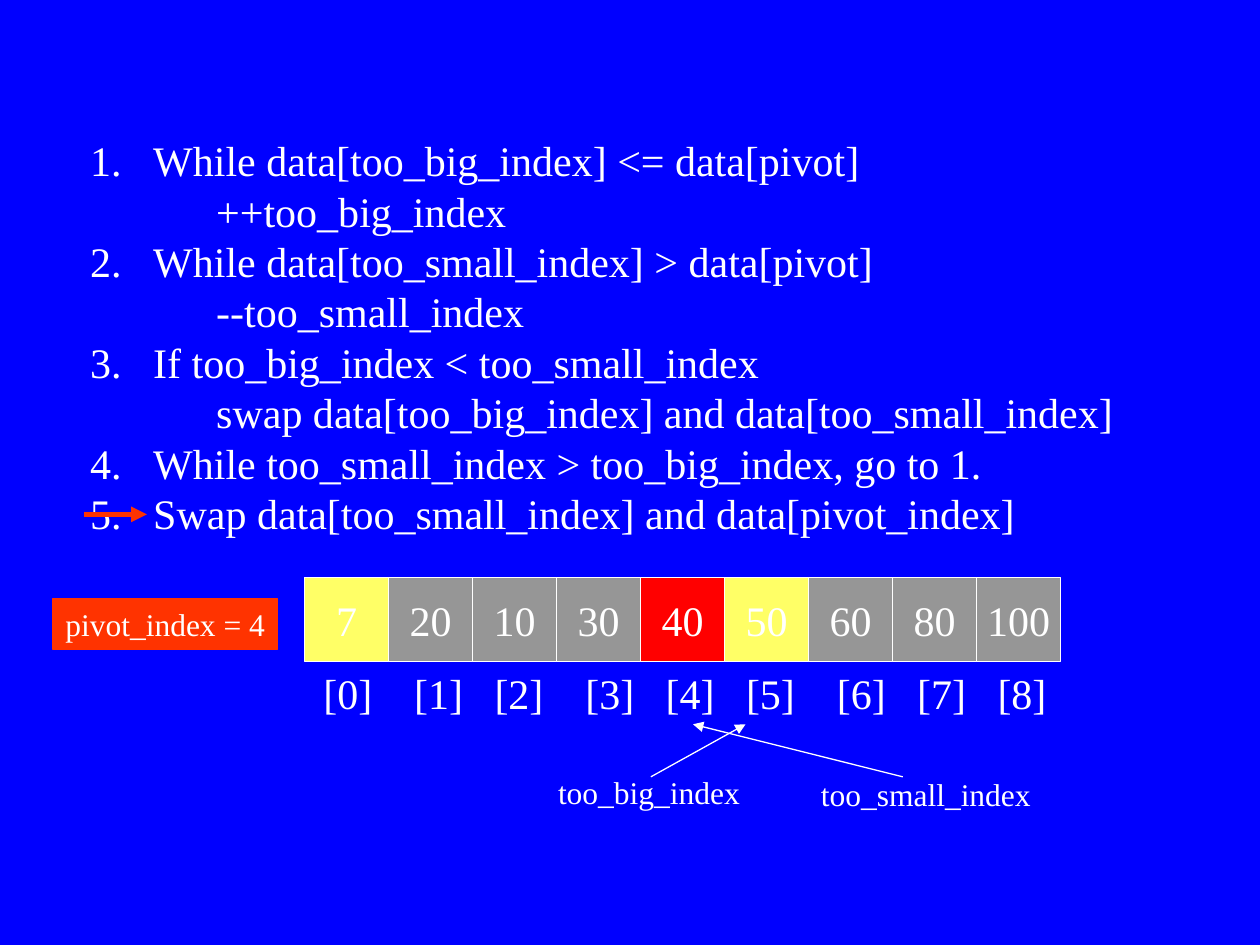
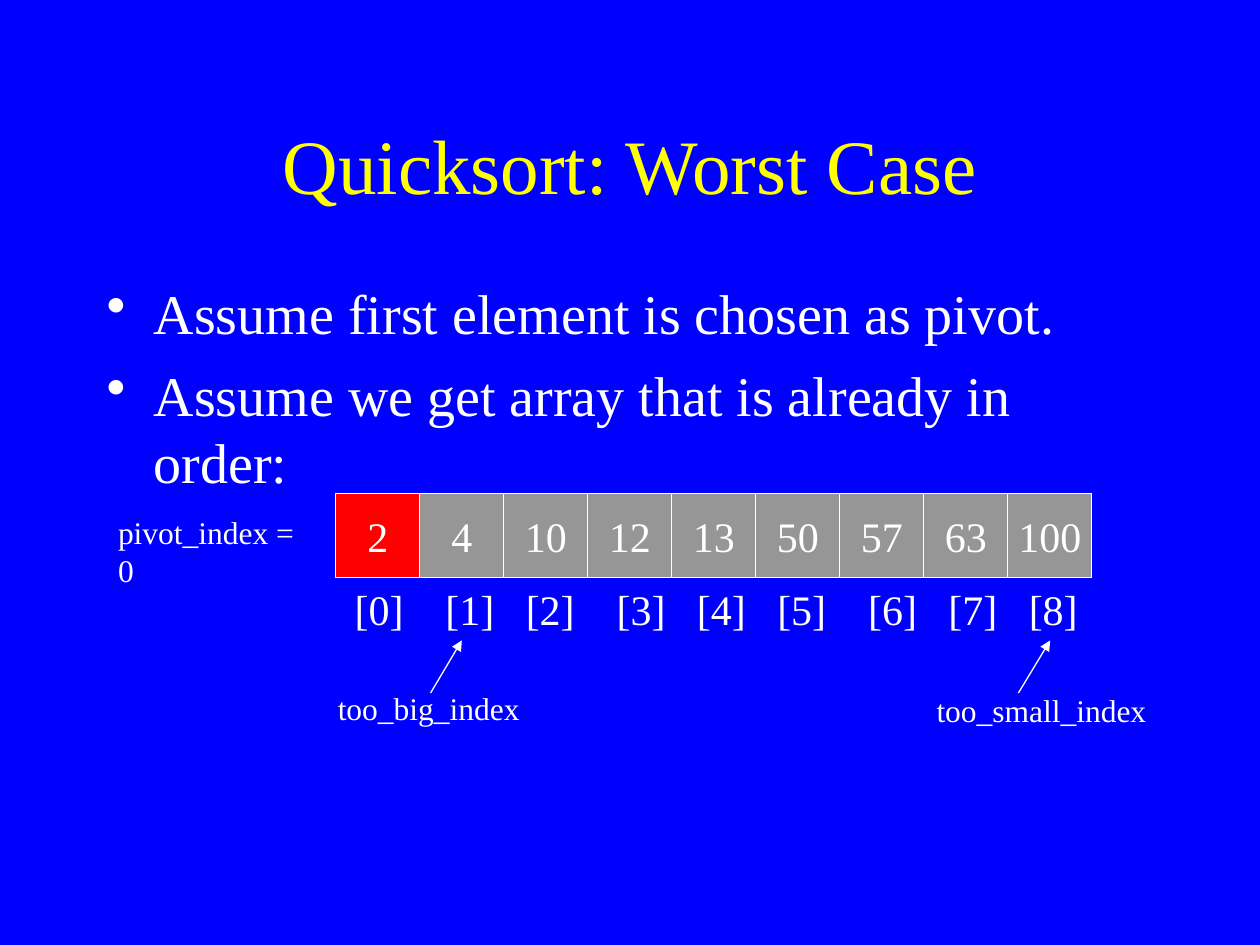
from itertools import accumulate

from lxml import etree
from pptx import Presentation
from pptx import util as u
from pptx.dml.color import RGBColor
from pptx.enum import shapes, text
from pptx.oxml.ns import qn

COLORS = {
    "background": "0000FF",
    "title": "FFFF00",
    "text": "FFFFFF",
    "cell": "969696",
    "pivot": "FF0000",
    "swap": "FFFF66",
    "step": "FF3300",
}
FONT = "Times New Roman"
TITLE_ONLY, BLANK = 5, 6
CELL = 15.24 / 9
# Distances between neighbouring index labels, in cm
INDEX_STEPS = [1.83, 1.62, 1.83, 1.62, 1.62, 1.83, 1.62, 1.62]

ALGORITHM = [
    ("While data[too_big_index] <= data[pivot]", "++too_big_index"),
    ("While data[too_small_index] > data[pivot]", "--too_small_index"),
    ("If too_big_index < too_small_index",
     "swap data[too_big_index] and data[too_small_index]"),
    ("While too_small_index > too_big_index, go to 1.", None),
    ("Swap data[too_small_index] and data[pivot_index]", None),
]
ASSUMPTIONS = [
    "Assume first element is chosen as pivot.",
    "Assume we get array that is already in order:",
]


def rgb(name):
    return RGBColor.from_string(COLORS[name])


def add_child(parent, tag, **attributes):
    child = etree.SubElement(parent, qn(tag))
    for key, value in attributes.items():
        child.set(key, str(value))
    return child


def add_run(paragraph, wording, size, color="text"):
    run = paragraph.add_run()
    run.text = wording
    run.font.name = FONT
    run.font.size = u.Pt(size)
    run.font.color.rgb = rgb(color)


def add_text_box(slide, left, top, width, height, wrap=True):
    frame = slide.shapes.add_textbox(
        u.Cm(left), u.Cm(top), u.Cm(width), u.Cm(height)).text_frame
    frame.word_wrap = wrap
    return frame


def add_label(slide, wording, left, top, width, wrap=True):
    frame = add_text_box(slide, left, top, width, 1.02, wrap)
    add_run(frame.paragraphs[0], wording, 18)


def add_box(slide, wording, left, top, width, height, size, fill, line,
            align=text.PP_ALIGN.CENTER):
    box = slide.shapes.add_shape(
        shapes.MSO_SHAPE.RECTANGLE,
        u.Cm(left), u.Cm(top), u.Cm(width), u.Cm(height))
    box.shadow.inherit = False
    box.fill.solid()
    box.fill.fore_color.rgb = rgb(fill)
    box.line.color.rgb = rgb(line)
    box.line.width = u.Pt(0.75)
    frame = box.text_frame
    frame.word_wrap = False
    frame.vertical_anchor = text.MSO_ANCHOR.MIDDLE
    frame.paragraphs[0].alignment = align
    add_run(frame.paragraphs[0], wording, size)


def add_arrow(slide, start, end, color="text", width=0.75):
    arrow = slide.shapes.add_connector(
        shapes.MSO_CONNECTOR.STRAIGHT, *map(u.Cm, start + end))
    arrow.line.color.rgb = rgb(color)
    arrow.line.width = u.Pt(width)
    add_child(arrow.line._get_or_add_ln(), "a:tailEnd", type="triangle")
    add_child(arrow._element.spPr, "a:effectLst")


def add_array(slide, values, left, top, highlights):
    """Draw the cells and, below them, one line of index labels."""
    for i, value in enumerate(values):
        add_box(slide, str(value), left + i * CELL, top, CELL, CELL, 24,
                highlights.get(i, "cell"), "text")
    frame = add_text_box(slide, left + 0.13, top + CELL, 15.3, 1.27)
    indices = frame.paragraphs[0]
    tabs = add_child(indices._p.get_or_add_pPr(), "a:tabLst")
    for position in accumulate(INDEX_STEPS):
        add_child(tabs, "a:tab", pos=u.Cm(position), algn="l")
    add_run(indices, "\t".join(f"[{i}]" for i in range(len(values))), 24)


def add_list_item(frame, wording, size, margin, hanging=0, level=0,
                  space_before=0, bullet=None):
    """Add a paragraph; bullet is a (tag, attributes) pair or None."""
    first = frame.paragraphs[0]
    item = frame.add_paragraph() if first.runs else first
    item.level = level
    item.space_before = u.Pt(space_before)
    properties = item._p.get_or_add_pPr()
    properties.set("marL", str(u.Cm(margin)))
    properties.set("indent", str(-u.Cm(hanging)))
    if bullet:
        tag, attributes = bullet
        color = add_child(properties, "a:buClr")
        add_child(color, "a:srgbClr", val=COLORS["text"])
        add_child(properties, tag, **attributes)
    else:
        add_child(properties, "a:buNone")
    add_run(item, wording, size)


def add_title(slide, wording):
    title = slide.shapes.title
    title.left, title.top = u.Cm(1.9), u.Cm(1.7)
    title.width, title.height = u.Cm(21.6), u.Cm(3.18)
    frame = title.text_frame
    frame.vertical_anchor = text.MSO_ANCHOR.MIDDLE
    frame.paragraphs[0].alignment = text.PP_ALIGN.CENTER
    add_run(frame.paragraphs[0], wording, 44, "title")


def build_partition(slide):
    # Numbered algorithm, with the current step marked
    steps = add_text_box(slide, 1.57, 2.59, 23.67, 11.43)
    number = ("a:buAutoNum", {"type": "arabicPeriod"})
    for step, action in ALGORITHM:
        add_list_item(steps, step, 24, 1.27, 1.27, bullet=number)
        if action:
            add_list_item(steps, action, 24, 2.54, level=1)

    # Array and pivot
    add_array(slide, [7, 20, 10, 30, 40, 50, 60, 80, 100], 6.14, 11.64,
              {0: "swap", 4: "pivot", 5: "swap"})
    add_box(slide, "pivot_index = 4", 1.07, 12.07, 4.52, 1.02, 18,
            "step", "step", text.PP_ALIGN.LEFT)

    # Index pointers
    add_label(slide, "too_big_index", 11, 15.45, 8.05)
    add_label(slide, "too_small_index", 16.3, 15.5, 5.93)
    add_arrow(slide, (18.2, 15.66), (13.97, 14.6))
    add_arrow(slide, (13.12, 15.66), (15.03, 14.6))
    add_arrow(slide, (1.69, 10.37), (2.96, 10.37), "step", 3)


def build_worst_case(slide):
    # Title and assumptions
    add_title(slide, "Quicksort: Worst Case")
    assumptions = add_text_box(slide, 1.9, 5.5, 21.6, 11.43)
    dot = ("a:buChar", {"char": "•"})
    for assumption in ASSUMPTIONS:
        add_list_item(assumptions, assumption, 32, 0.95, 0.95,
                      space_before=8, bullet=dot)

    # Array and pivot
    add_array(slide, [2, 4, 10, 12, 13, 50, 57, 63, 100], 6.77, 9.95,
              {0: "pivot"})
    add_label(slide, "pivot_index = 0", 2.13, 10.22, 4.52, wrap=False)

    # Index pointers
    add_label(slide, "too_big_index", 6.56, 13.76, 8.05)
    add_label(slide, "too_small_index", 18.63, 13.8, 5.93)
    add_arrow(slide, (20.53, 13.97), (21.17, 12.91))
    add_arrow(slide, (8.68, 13.97), (9.31, 12.91))


def main():
    deck = Presentation()
    deck.slide_width, deck.slide_height = u.Cm(25.4), u.Cm(19.05)
    background = deck.slide_master.background.fill
    background.solid()
    background.fore_color.rgb = rgb("background")

    build_partition(deck.slides.add_slide(deck.slide_layouts[BLANK]))
    build_worst_case(deck.slides.add_slide(deck.slide_layouts[TITLE_ONLY]))
    deck.save("out.pptx")


if __name__ == "__main__":
    main()
